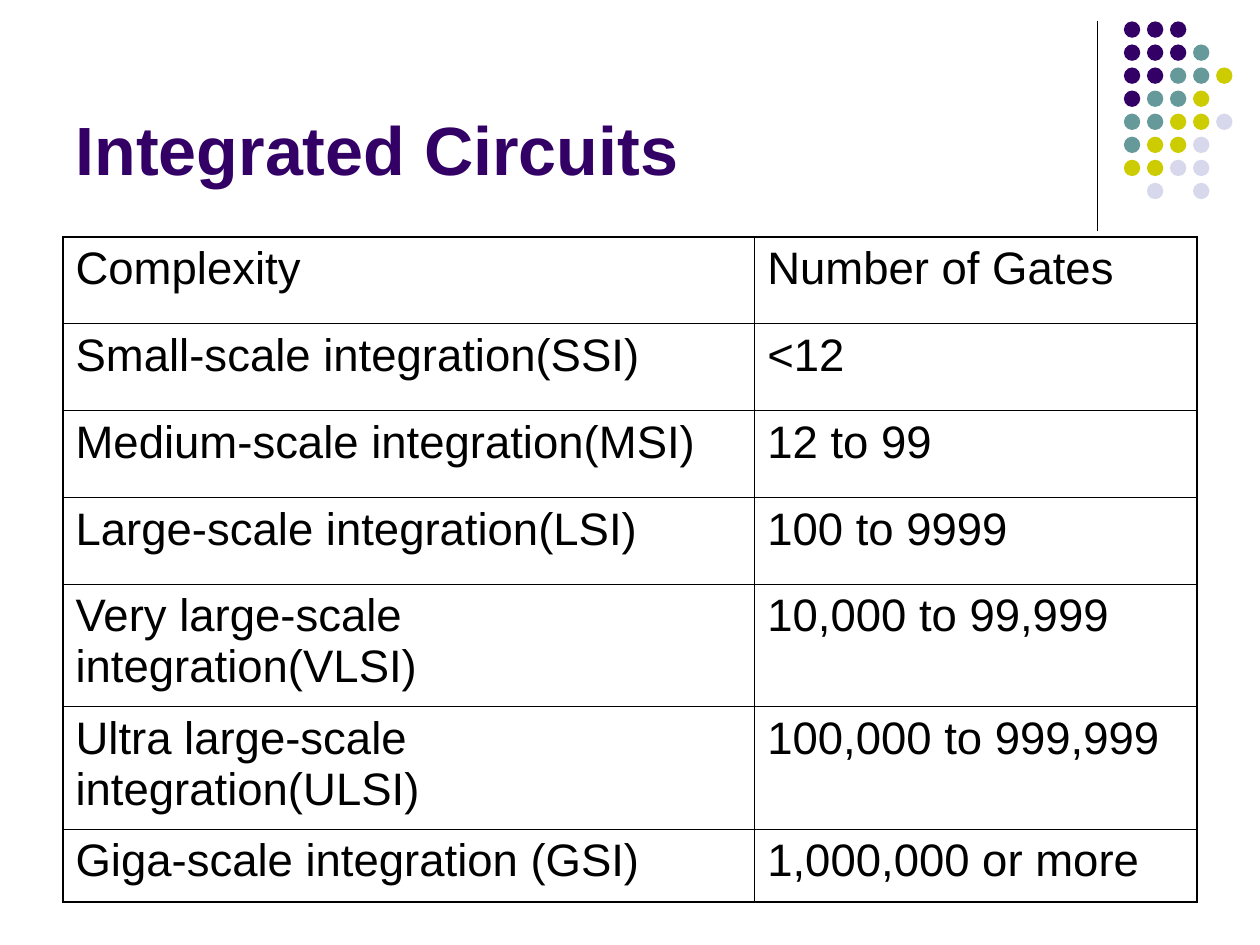
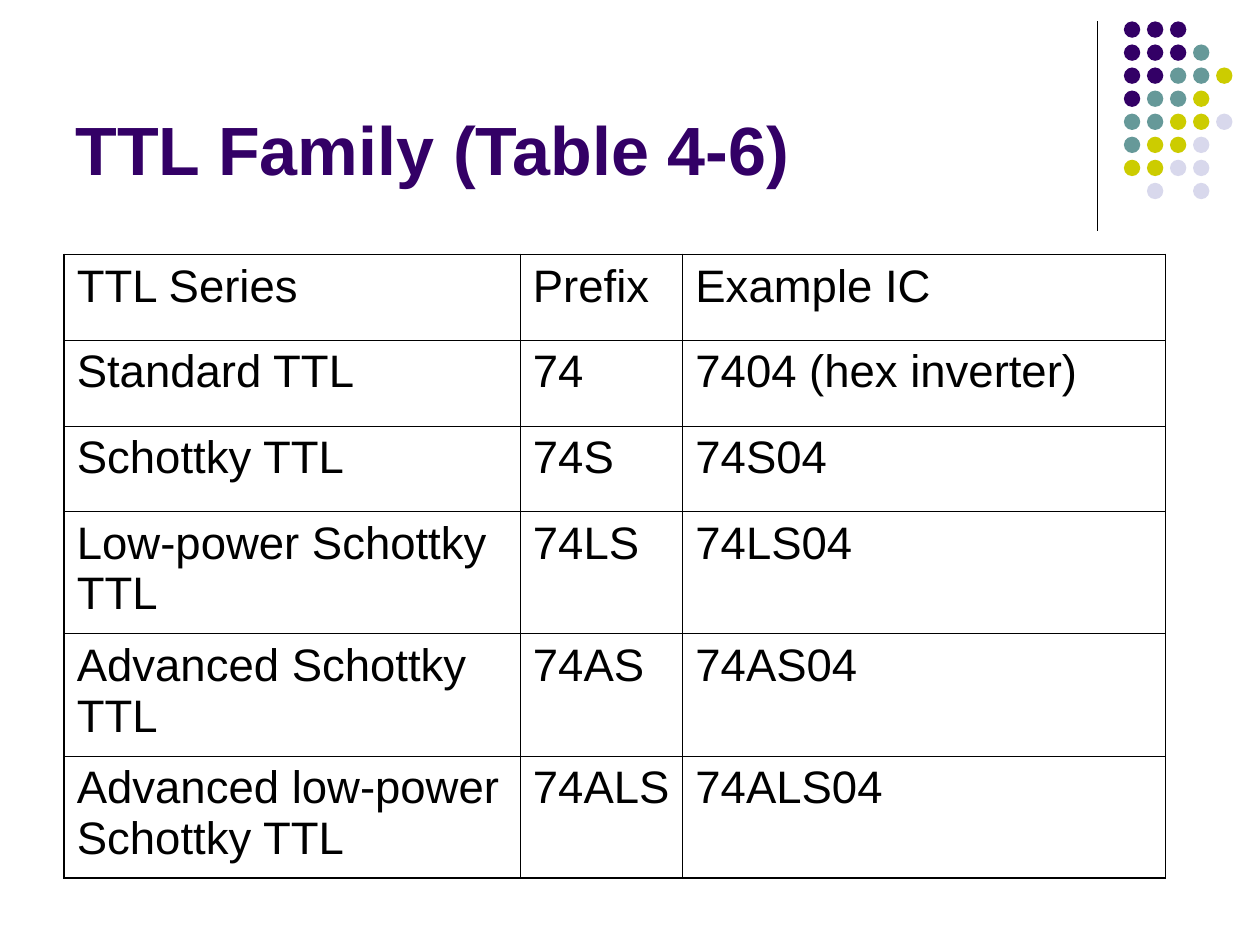
from lxml import etree
from pptx import Presentation
from pptx.dml.color import RGBColor
from pptx.enum.shapes import MSO_CONNECTOR, MSO_SHAPE
from pptx.enum.text import MSO_ANCHOR, PP_ALIGN
from pptx.oxml.ns import qn
from pptx.util import Inches, Pt

STRAIGHT = MSO_CONNECTOR.STRAIGHT
OVAL = MSO_SHAPE.OVAL
LEFT = PP_ALIGN.LEFT
TOP, BOTTOM = MSO_ANCHOR.TOP, MSO_ANCHOR.BOTTOM
TITLE_ONLY = 5

COLORS = {
    "ink": "000000",
    "purple": "330066",
    "teal": "669999",
    "olive": "CCCC00",
    "lilac": "D8D8EC",
}
TITLE_FONT = {"name": "Arial", "size": Pt(39), "bold": True}
CELL_FONT = {"name": "Arial", "size": Pt(26), "bold": False}
MARGINS = {
    "margin_left": Inches(0.1),
    "margin_right": Inches(0.1),
    "margin_top": Inches(0.05),
    "margin_bottom": Inches(0.05),
}
OUTER_EDGE, INNER_EDGE = Pt(1.08), Pt(0.45)

# Boxes are left, top, width, height in inches
TITLE_BOX = (0.5, 0.13, 8.25, 1.42)
CORNER_BOX = (8.71, 0.17, 1.07, 1.66)

# Dot pattern: one letter per dot, a space for a gap
DOT_ROWS = ["PPP", "PPPT", "PPTTO", "PTTO", "TTOOL", "TOOL", "OOLL", " L L"]
DOT_COLORS = {"P": "purple", "T": "teal", "O": "olive", "L": "lilac"}
DOT_SIZE, DOT_STEP, DOT_INDENT = 0.13, 0.183, 0.21

GATES_ROWS = [
    ("Complexity", "Number of Gates"),
    ("Small-scale integration(SSI)", "<12"),
    ("Medium-scale integration(MSI)", "12 to 99"),
    ("Large-scale integration(LSI)", "100 to 9999"),
    ("Very large-scale integration(VLSI)", "10,000 to 99,999"),
    ("Ultra large-scale integration(ULSI)", "100,000 to 999,999"),
    ("Giga-scale integration (GSI)", "1,000,000 or more"),
]
TTL_ROWS = [
    ("TTL Series", "Prefix", "Example IC"),
    ("Standard TTL", "74", "7404 (hex inverter)"),
    ("Schottky TTL", "74S", "74S04"),
    ("Low-power Schottky TTL", "74LS", "74LS04"),
    ("Advanced Schottky TTL", "74AS", "74AS04"),
    ("Advanced low-power Schottky TTL", "74ALS", "74ALS04"),
]


def color(key):
    return RGBColor.from_string(COLORS[key])


def apply(target, values):
    for attribute, value in values.items():
        setattr(target, attribute, value)


def add_title(slide, box, text):
    title = slide.shapes.title
    apply(title, dict(zip(("left", "top", "width", "height"), map(Inches, box))))
    frame = title.text_frame
    apply(frame, {**MARGINS, "vertical_anchor": BOTTOM, "word_wrap": True})
    frame.text = text
    paragraph = frame.paragraphs[0]
    paragraph.alignment = LEFT
    apply(paragraph.font, TITLE_FONT)
    paragraph.font.color.rgb = color("purple")


def add_corner(slide, box):
    """Vertical rule with the dot pattern to its right."""
    left, top, _, height = box
    rule = slide.shapes.add_connector(
        STRAIGHT, Inches(left), Inches(top), Inches(left), Inches(top + height))
    rule.line.color.rgb = color("ink")
    rule.line.width = Pt(0.75)
    etree.SubElement(rule._element.spPr, qn("a:effectLst"))

    dots = slide.shapes.add_group_shape()
    for row, letters in enumerate(DOT_ROWS):
        for column, letter in enumerate(letters):
            if letter == " ":
                continue
            dot = dots.shapes.add_shape(
                OVAL,
                Inches(left + DOT_INDENT + column * DOT_STEP),
                Inches(top + row * DOT_STEP),
                Inches(DOT_SIZE), Inches(DOT_SIZE))
            dot.shadow.inherit = False
            dot.fill.solid()
            dot.fill.fore_color.rgb = color(DOT_COLORS[letter])
            dot.line.fill.background()


def set_borders(cell, widths):
    """Widths run left, right, top, bottom; borders come before the fill."""
    properties = cell._tc.get_or_add_tcPr()
    for index, (side, width) in enumerate(zip("LRTB", widths)):
        border = etree.Element(qn(f"a:ln{side}"), w=str(width))
        fill = etree.SubElement(border, qn("a:solidFill"))
        etree.SubElement(fill, qn("a:srgbClr"), val=COLORS["ink"])
        properties.insert(index, border)


def add_grid(slide, origin, widths, heights, rows):
    left, top = origin
    table = slide.shapes.add_table(
        len(rows), len(widths), Inches(left), Inches(top),
        Inches(sum(widths)), Inches(sum(heights))).table
    apply(table, {"first_row": False, "horz_banding": False})
    for column, width in zip(table.columns, widths):
        column.width = Inches(width)
    for row, height in zip(table.rows, heights):
        row.height = Inches(height)

    last_row, last_column = len(rows) - 1, len(widths) - 1
    for r, texts in enumerate(rows):
        for c, text in enumerate(texts):
            cell = table.cell(r, c)
            apply(cell, {**MARGINS, "vertical_anchor": TOP, "text": text})
            cell.fill.background()
            paragraph = cell.text_frame.paragraphs[0]
            paragraph.alignment = LEFT
            apply(paragraph.font, CELL_FONT)
            paragraph.font.color.rgb = color("ink")
            on_edge = (c == 0, c == last_column, r == 0, r == last_row)
            set_borders(cell, [OUTER_EDGE if edge else INNER_EDGE for edge in on_edge])


def add_table_slide(deck, title, origin, widths, heights, rows):
    slide = deck.slides.add_slide(deck.slide_layouts[TITLE_ONLY])
    add_corner(slide, CORNER_BOX)
    add_title(slide, TITLE_BOX, title)
    add_grid(slide, origin, widths, heights, rows)


def main():
    deck = Presentation()
    deck.slide_width, deck.slide_height = Inches(10), Inches(7.5)
    # Integration levels by gate count
    add_table_slide(deck, "Integrated Circuits", (0.5, 1.88), (5.49, 3.51),
                    [0.69] * 4 + [0.97] * 2 + [0.58], GATES_ROWS)
    # TTL series with prefixes and examples
    add_table_slide(deck, "TTL Family (Table 4-6)", (0.51, 2.02), (3.62, 1.29, 3.83),
                    [0.68] * 3 + [0.97] * 3, TTL_ROWS)
    deck.save("out.pptx")


if __name__ == "__main__":
    main()
